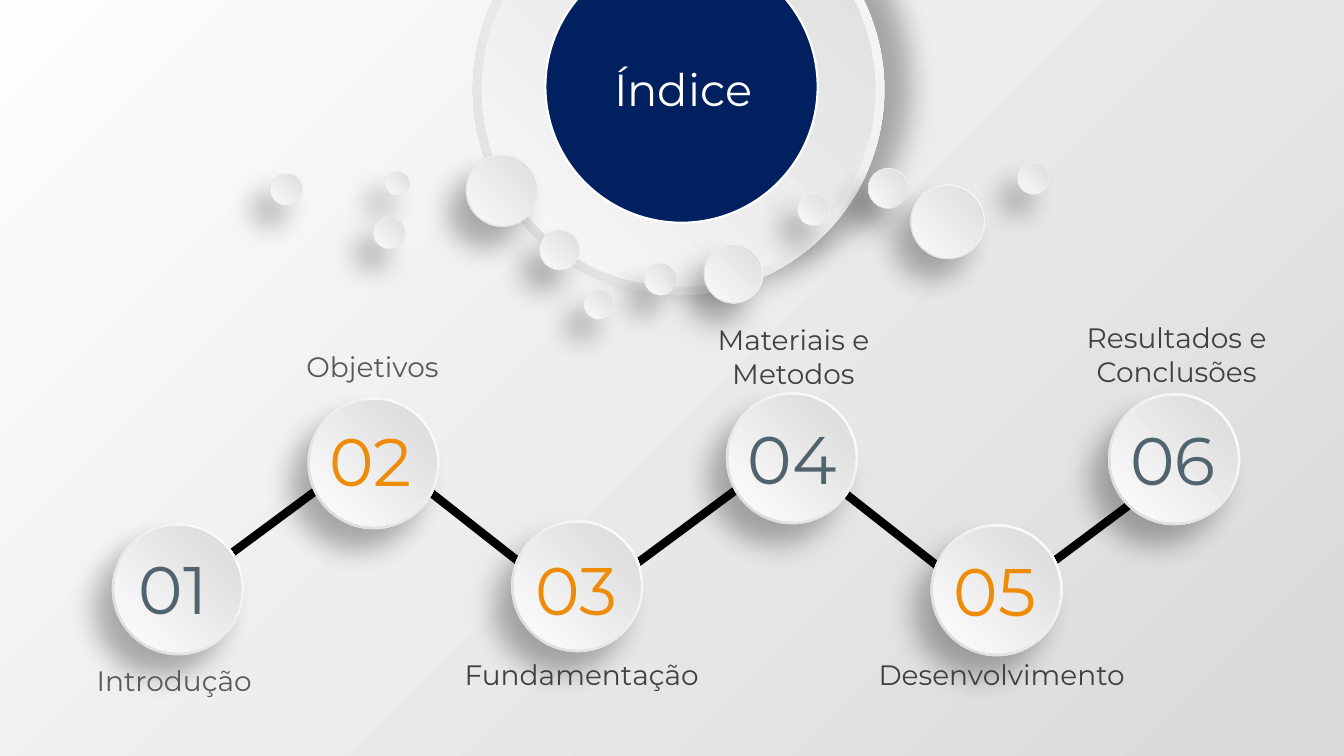
"""Build the index slide: a title hub, scattered beads and six numbered steps."""
from lxml import etree
from pptx import Presentation
from pptx import util as u
from pptx.dml.color import RGBColor
from pptx.enum import shapes, text
from pptx.oxml import parse_xml
from pptx.oxml.ns import nsdecls, qn

THEME = {
    "font": "Montserrat",
    "white": RGBColor.from_string("FFFFFF"),
    "pale": RGBColor.from_string("FEFEFE"),
    "silver": RGBColor.from_string("D9D9D9"),
    "navy": RGBColor.from_string("002060"),
    "black": RGBColor.from_string("000000"),
    "slate": RGBColor.from_string("51646D"),
    "orange": RGBColor.from_string("EF8C07"),
    "grey": RGBColor.from_string("595959"),
    "charcoal": RGBColor.from_string("404040"),
    "title": u.Pt(32),
    "label": u.Pt(20),
    "number": u.Pt(48),
}
TILT = 29.5
FACE_RATIO = 0.956


def shade(fill, colours, focus):
    """Fill with a radial gradient that spreads from the focus corner."""
    fill.gradient()
    for stop, colour in zip(fill.gradient_stops, colours):
        stop.color.rgb = THEME[colour]
    gradient = fill._xPr.find(qn("a:gradFill"))
    gradient.replace(gradient.find(qn("a:lin")), parse_xml(
        f'<a:path {nsdecls("a")} path="circle"><a:fillToRect {focus}/></a:path>'))


def add_disc(left, top, size, rotation=0, shadow_angle=130):
    """Add a raised disc: a shadowed rim with a smaller face centred on it."""
    face_size = size * FACE_RATIO
    inset = (size - face_size) / 2
    layers = [(0, size, ("white", "silver")), (inset, face_size, ("silver", "pale"))]
    for offset, diameter, colours in layers:
        layer = slide.shapes.add_shape(
            shapes.MSO_SHAPE.OVAL, u.Inches(left + offset), u.Inches(top + offset),
            u.Inches(diameter), u.Inches(diameter))
        layer.rotation = rotation
        layer.shadow.inherit = False
        layer.line.fill.background()
        shade(layer.fill, colours, 'l="100000" b="100000"')
        if offset == 0:
            layer._element.spPr.find(qn("a:effectLst")).append(parse_xml(
                f'<a:outerShdw {nsdecls("a")} blurRad="{u.Pt(20)}" dist="{u.Pt(19)}" '
                f'dir="{shadow_angle * 60000}" algn="ctr" rotWithShape="0">'
                '<a:srgbClr val="000000"><a:alpha val="30000"/></a:srgbClr></a:outerShdw>'))


prs = Presentation()
prs.slide_width, prs.slide_height = u.Inches(13.33), u.Inches(7.5)
slide = prs.slides.add_slide(prs.slide_layouts[5])
shade(slide.background.fill, ("silver", "pale"), 'l="100000" t="100000"')

links = [
    (10.21, 5.75, 11.64, 4.68),
    (9.61, 5.86, 8.21, 4.76),
    (5.46, 5.82, 4.06, 4.72),
    (6.14, 5.72, 7.57, 4.66),
    (1.93, 5.76, 3.36, 4.7),
]
for ends in links:
    link = slide.shapes.add_connector(shapes.MSO_CONNECTOR.STRAIGHT, *map(u.Inches, ends))
    link.line.color.rgb = THEME["black"]
    link.line.width = u.Pt(6)
    etree.SubElement(link._element.spPr, qn("a:effectLst"))

add_disc(4.69, -1.15, 4.08, TILT, shadow_angle=345)
hub = slide.shapes.add_shape(shapes.MSO_SHAPE.OVAL, u.Inches(5.41), u.Inches(-0.49),
                             u.Inches(2.7), u.Inches(2.7))
hub.rotation = TILT
hub.shadow.inherit = False
hub.fill.solid()
hub.fill.fore_color.rgb = THEME["navy"]
hub.line.color.rgb = THEME["white"]
hub.line.width = u.Pt(1.5)

beads = [
    (5.35, 2.28, 0.4), (8.61, 1.67, 0.4), (6.39, 2.61, 0.32), (6.98, 2.42, 0.59),
    (3.82, 1.7, 0.24), (5.79, 2.87, 0.3), (4.62, 1.53, 0.72), (9.03, 1.83, 0.74),
    (7.91, 1.92, 0.32), (10.09, 1.61, 0.32), (2.68, 1.72, 0.32), (3.7, 2.15, 0.32),
]
for bead in beads:
    add_disc(*bead, TILT)

for step in [(1.11, 5.19), (3.05, 3.94), (5.07, 5.16), (7.2, 3.89), (9.23, 5.2), (10.99, 3.9)]:
    add_disc(*step, 1.31)

left, centre = text.PP_ALIGN.LEFT, text.PP_ALIGN.CENTER
wordings = [
    ("Índice", (5.99, 0.56, 1.59, 0.63), "title", "white", left),
    ("Introdução", (0.86, 6.53, 1.85, 0.52), "label", "grey", left),
    ("Objetivos", (2.92, 3.42, 1.55, 0.58), "label", "grey", centre),
    ("Fundamentação", (4.46, 6.47, 2.62, 0.43), "label", "charcoal", centre),
    ("Materiais e Metodos", (6.65, 3.15, 2.44, 0.81), "label", "charcoal", centre),
    ("Desenvolvimento", (8.59, 6.47, 2.69, 0.21), "label", "charcoal", centre),
    ("Resultados e Conclusões", (10.45, 3.13, 2.44, 0.81), "label", "charcoal", centre),
    ("01", (1.28, 5.38, 1.09, 0.91), "number", "slate", left),
    ("02", (3.17, 4.11, 1.06, 0.91), "number", "orange", left),
    ("03", (5.21, 5.39, 1.05, 0.91), "number", "orange", left),
    ("04", (7.32, 4.09, 1.12, 0.91), "number", "slate", left),
    ("05", (9.36, 5.4, 1.03, 0.91), "number", "orange", left),
    ("06", (11.11, 4.1, 1.12, 0.91), "number", "slate", left),
]
frame_format = {
    "word_wrap": True,
    "auto_size": text.MSO_AUTO_SIZE.NONE,
    "vertical_anchor": text.MSO_ANCHOR.TOP,
}
for wording, place, role, colour, alignment in wordings:
    bounds = dict(zip(("left", "top", "width", "height"), map(u.Inches, place)))
    if role == "title":
        caption = slide.shapes.title
        slide.shapes._spTree.append(caption._element)
        for side, length in bounds.items():
            setattr(caption, side, length)
    else:
        caption = slide.shapes.add_textbox(**bounds)
    for setting, value in frame_format.items():
        setattr(caption.text_frame, setting, value)
    paragraph = caption.text_frame.paragraphs[0]
    paragraph.text = wording
    paragraph.alignment = alignment
    font = paragraph.runs[0].font
    for setting, value in {"name": THEME["font"], "size": THEME[role]}.items():
        setattr(font, setting, value)
    font.color.rgb = THEME[colour]

prs.save("out.pptx")
